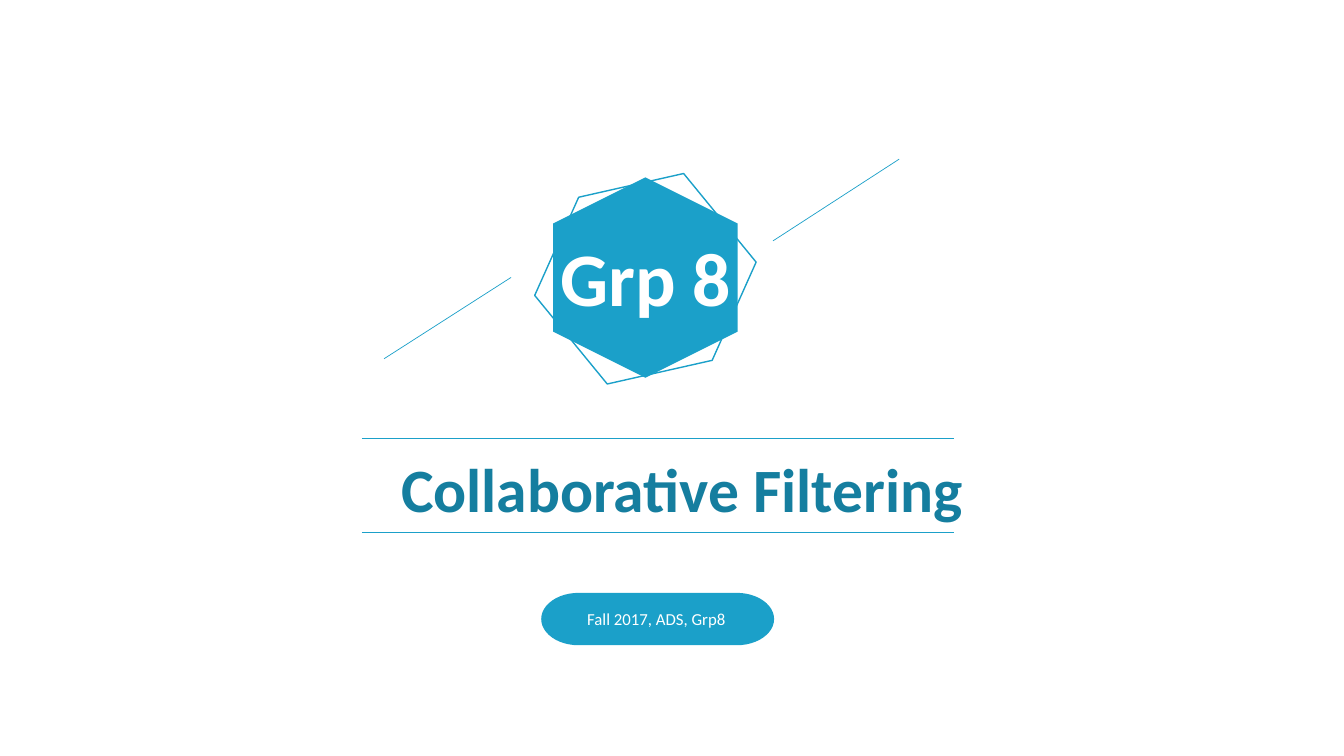
"""Build the Collaborative Filtering title slide."""
from pptx import Presentation
from pptx.dml.color import RGBColor
from pptx.enum.shapes import MSO_CONNECTOR, MSO_SHAPE
from pptx.enum.text import MSO_AUTO_SIZE
from pptx.oxml.ns import qn
from pptx.util import Cm, Pt
from lxml.etree import SubElement

ACCENT, TITLE, WHITE = "1BA0C9", "157E9F", "FFFFFF"


def rgb(value):
    """Turn a hex string into a colour."""
    return RGBColor.from_string(value)


def write(tf, text, size=12, color=WHITE, bold=False):
    """Put one formatted run into a text frame."""
    r = tf.paragraphs[0].add_run()
    r.text = text
    r.font.name = "Calibri"
    r.font.size = Pt(size)
    r.font.bold = bold
    r.font.color.rgb = rgb(color)


class Deck:
    """Hold the style and the current slide."""

    def __init__(self, accent):
        """Start a widescreen deck with one blank slide."""
        self.accent = accent
        self.prs = Presentation()
        self.prs.slide_width, self.prs.slide_height = Cm(33.87), Cm(19.05)
        self.s = self.prs.slides.add_slide(self.prs.slide_layouts[6])

    def line(self, x1, y1, x2, y2):
        """Draw a thin accent line."""
        c = self.s.shapes.add_connector(
            MSO_CONNECTOR.STRAIGHT, Cm(x1), Cm(y1), Cm(x2), Cm(y2))
        c.line.color.rgb = rgb(self.accent)
        c.line.width = Pt(0.5)
        SubElement(c._element.spPr, qn("a:effectLst"))

    def shape(self, kind, x, y, w, h, rotation=0, filled=True, parent=None):
        """Draw a preset shape, either filled or outlined."""
        shapes = (parent or self.s).shapes
        sp = shapes.add_shape(kind, Cm(x), Cm(y), Cm(w), Cm(h))
        sp.shadow.inherit = False
        sp.rotation = rotation
        if filled:
            sp.fill.solid()
            sp.fill.fore_color.rgb = rgb(self.accent)
            sp.line.fill.background()
        else:
            sp.fill.background()
            sp.line.color.rgb = rgb(self.accent)
            sp.line.width = Pt(1)

    def text(self, text, x, y, w, h, wrap=False, parent=None, **font):
        """Add a text box that grows with its text."""
        shapes = (parent or self.s).shapes
        tf = shapes.add_textbox(Cm(x), Cm(y), Cm(w), Cm(h)).text_frame
        tf.word_wrap = wrap
        tf.auto_size = MSO_AUTO_SIZE.SHAPE_TO_FIT_TEXT
        write(tf, text, **font)

    def group(self):
        """Add an empty group."""
        return self.s.shapes.add_group_shape()


def main():
    """Draw the slide and save it."""
    deck = Deck(ACCENT)
    for y in (11.05, 13.41):
        deck.line(9.12, y, 24.03, y)
    deck.text("Collaborative Filtering", 9.86, 11.23, 14.81, 2.13,
              size=44, color=TITLE, bold=True)

    badge = deck.group()
    deck.shape(MSO_SHAPE.FLOWCHART_TERMINATOR, 13.64, 14.94, 5.87, 1.32, parent=badge)
    deck.text("Fall 2017, ADS, Grp8", 14.55, 15.21, 4.04, 0.76, parent=badge)

    deck.shape(MSO_SHAPE.HEXAGON, 13.74, 4.67, 5.05, 4.65, rotation=90)
    deck.shape(MSO_SHAPE.HEXAGON, 13.61, 4.6, 5.31, 4.85, rotation=50.7, filled=False)
    deck.text("Grp 8", 13.87, 5.69, 5.56, 2.57, wrap=True, size=54, bold=True)

    deck.line(22.66, 4.01, 19.48, 6.07)
    deck.line(12.88, 6.99, 9.68, 9.04)
    deck.prs.save("out.pptx")


if __name__ == "__main__":
    main()
